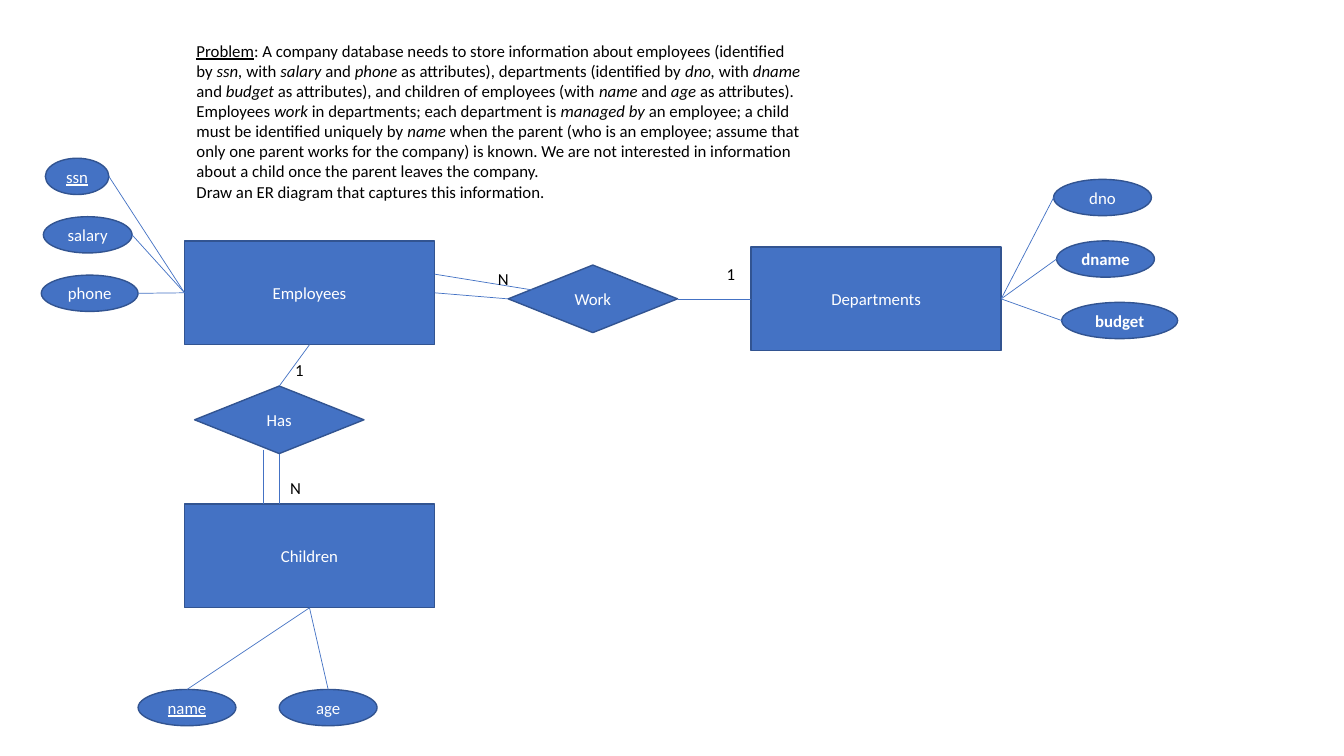
from pptx import Presentation
from pptx import util as u
from pptx.dml import color
from pptx.enum import shapes, text
from pptx.oxml import xmlchemy

BLUE, EDGE, WHITE, BLACK = "4472C4", "325491", "FFFFFF", "000000"
FONT = "Calibri"
RECT = shapes.MSO_SHAPE.RECTANGLE
OVAL = shapes.MSO_SHAPE.OVAL
RHOMB = shapes.MSO_SHAPE.FLOWCHART_DECISION
TOP, LEFT, BASE, RIGHT = range(4)

PROBLEM = [
    "_Problem_: A company database needs to store information about employees (identified",
    "by *ssn, *with *salary *and *phone *as attributes), departments (identified by *dno, *with *dname*",
    "and *budget *as attributes), and children of employees (with *name *and *age *as attributes).",
    "Employees *work *in departments; each department is *managed by *an employee; a child",
    "must be identified uniquely by *name *when the parent (who is an employee; assume that",
    "only one parent works for the company) is known. We are not interested in information",
    "about a child once the parent leaves the company.",
    "Draw an ER diagram that captures this information.",
]


def rgb(code):
    return color.RGBColor.from_string(code)


def style(para, code):
    para.font.size = u.Pt(12)
    para.font.name = FONT
    para.font.color.rgb = rgb(code)


def node(slide, kind, name, box, look=""):
    shape = slide.shapes.add_shape(kind, *map(u.Inches, box))
    shape.shadow.inherit = False
    shape.fill.solid()
    shape.fill.fore_color.rgb = rgb(BLUE)
    shape.line.color.rgb = rgb(EDGE)
    shape.line.width = u.Pt(1)
    frame = shape.text_frame
    frame.word_wrap = False
    frame.vertical_anchor = text.MSO_ANCHOR.MIDDLE
    para = frame.paragraphs[0]
    para.text = name
    para.alignment = text.PP_ALIGN.CENTER
    style(para, WHITE)
    if look == "key":
        para.font.underline = True
    if look == "bold":
        para.font.bold = True
    return shape


def entity(slide, name, left, top):
    return node(slide, RECT, name, (left, top, 2.48, 1.03))


def relation(slide, name, left, top):
    return node(slide, RHOMB, name, (left, top, 1.68, 0.67))


def side(shape, site):
    across = {TOP: 0.5, LEFT: 0, BASE: 0.5, RIGHT: 1}[site]
    down = {TOP: 0, LEFT: 0.5, BASE: 1, RIGHT: 0.5}[site]
    return (int(shape.left + shape.width * across),
            int(shape.top + shape.height * down))


def line(slide, start, end):
    wire = slide.shapes.add_connector(shapes.MSO_CONNECTOR.STRAIGHT, *start, *end)
    wire.line.color.rgb = rgb(BLUE)
    wire.line.width = u.Pt(0.5)
    wire._element.spPr.append(xmlchemy.OxmlElement("a:effectLst"))
    return wire


def link(slide, first, out, second, into):
    wire = line(slide, side(first, out), side(second, into))
    wire.begin_connect(first, out)
    wire.end_connect(second, into)


def shift(shape, across, down):
    return shape.left + u.Inches(across), shape.top + u.Inches(down)


def fan(slide, owner, site, top, pitch, ovals):
    for row, (name, across, width, look) in enumerate(ovals):
        left = owner.left.inches + across
        down = owner.top.inches + top + row * pitch
        oval = node(slide, OVAL, name, (left, down, width, 0.36), look)
        wire = line(slide, side(oval, (site + 2) % 4), side(owner, site))
        wire.end_connect(owner, site)


def note(slide, lines, box):
    shape = slide.shapes.add_textbox(*map(u.Inches, box))
    frame = shape.text_frame
    frame.word_wrap = False
    frame.auto_size = text.MSO_AUTO_SIZE.SHAPE_TO_FIT_TEXT
    for row, words in enumerate(lines):
        para = frame.add_paragraph() if row else frame.paragraphs[0]
        style(para, BLACK)
        mark = "_" if "_" in words else "*"
        for place, part in enumerate(words.split(mark)):
            if part:
                run = para.add_run()
                run.text = part
                if place % 2 and mark == "_":
                    run.font.underline = True
                elif place % 2:
                    run.font.italic = True


def count(slide, mark, left, top):
    note(slide, [mark], (left, top, 0.3, 0.3))


def staff(slide, left, top):
    box = entity(slide, "Employees", left, top)
    fan(slide, box, LEFT, -0.82, 0.58, [
        ("ssn", -1.38, 0.63, "key"),
        ("salary", -1.4, 0.88, ""),
        ("phone", -1.42, 0.96, ""),
    ])
    return box


def units(slide, left, top):
    box = entity(slide, "Departments", left, top)
    fan(slide, box, RIGHT, -0.67, 0.61, [
        ("dno", 3, 0.97, ""),
        ("dname", 3.03, 0.97, "bold"),
        ("budget", 3.08, 1.15, "bold"),
    ])
    return box


def kids(slide, left, top):
    box = entity(slide, "Children", left, top)
    fan(slide, box, BASE, 1.84, 0, [
        ("name", -0.46, 0.97, "key"),
        ("age", 0.94, 0.97, ""),
    ])
    return box


def work(slide, left, top, crew, unit):
    box = relation(slide, "Work", left, top)
    link(slide, crew, RIGHT, box, LEFT)
    link(slide, box, RIGHT, unit, LEFT)
    line(slide, shift(box, -0.73, 0.09), shift(box, 0.26, 0.25))
    count(slide, "N", left - 0.2, top - 0.01)
    count(slide, "1", left + 2.07, top - 0.06)


def has(slide, left, top, crew, child):
    box = relation(slide, "Has", left, top)
    link(slide, crew, BASE, box, TOP)
    line(slide, side(box, BASE), shift(box, 0.84, 1.17))
    line(slide, shift(box, 0.68, 0.63), (box.left + u.Inches(0.68), child.top))
    count(slide, "1", left + 0.9, top - 0.31)
    count(slide, "N", left + 0.85, top + 0.86)


def main():
    deck = Presentation()
    deck.slide_width, deck.slide_height = u.Inches(13.33), u.Inches(7.5)
    slide = deck.slides.add_slide(deck.slide_layouts[6])
    note(slide, PROBLEM, (1.85, 0.35, 6.25, 1.72))
    crew = staff(slide, 1.83, 2.39)
    unit = units(slide, 7.45, 2.45)
    child = kids(slide, 1.83, 5)
    work(slide, 5.04, 2.63, crew, unit)
    has(slide, 1.93, 3.83, crew, child)
    deck.save("out.pptx")


if __name__ == "__main__":
    main()
